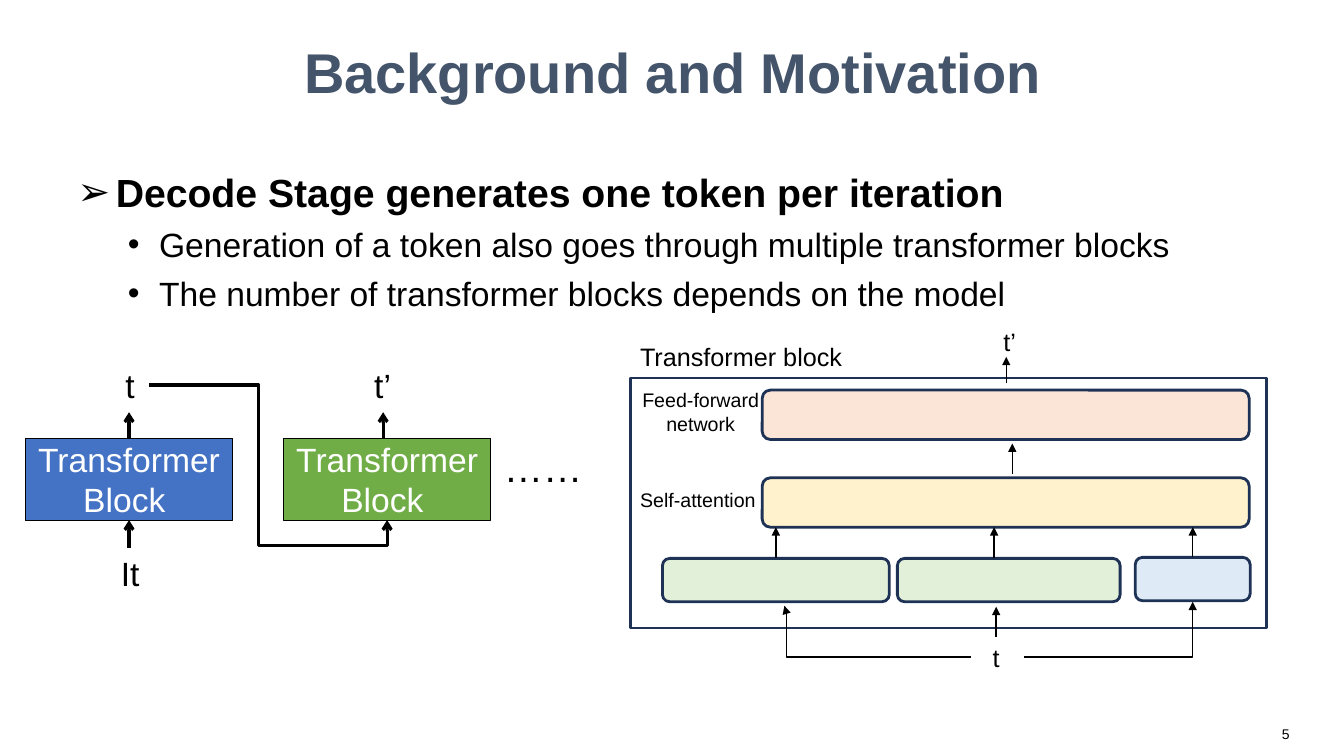
from dataclasses import dataclass

from lxml.etree import SubElement
from pptx import Presentation
from pptx.dml.color import RGBColor
from pptx.enum.shapes import MSO_CONNECTOR, MSO_SHAPE
from pptx.enum.text import MSO_ANCHOR, PP_ALIGN
from pptx.oxml.ns import qn
from pptx.util import Inches, Pt

# The slide is a grid of 133.33 columns by 75 rows
CELL = 0.1
FONT = "Arial"
BLACK, WHITE, NAVY = "000000", "FFFFFF", "1E3256"
CENTER, LEFT, RIGHT = PP_ALIGN.CENTER, PP_ALIGN.LEFT, PP_ALIGN.RIGHT
TOP_SIDE, BOTTOM_SIDE = 0, 2


@dataclass
class Box:
    left: float
    top: float
    width: float
    height: float

    def area(self, column, row, width, height):
        return Box(self.left + column, self.top + row, width, height)

    def point(self, column, row):
        return self.left + column, self.top + row

    def lengths(self):
        return [cells(n) for n in (self.left, self.top, self.width, self.height)]


def cells(count):
    return Inches(count * CELL)


def color(value):
    return RGBColor.from_string(value)


def add_span(para, text, size, ink=BLACK, bold=False):
    span = para.add_run()
    span.text = text
    span.font.name = FONT
    span.font.size = Pt(size)
    span.font.bold = bold
    span.font.color.rgb = color(ink)


def write(frame, lines, size, ink=BLACK, align=CENTER, bold=False):
    frame.word_wrap = True
    for index, line in enumerate(lines):
        para = frame.add_paragraph() if index else frame.paragraphs[0]
        para.alignment = align
        add_span(para, line, size, ink, bold)


def add_label(page, box, text, size, **style):
    label = page.shapes.add_textbox(*box.lengths())
    write(label.text_frame, [text], size, **style)
    return label


def add_panel(page, box, kind, fill, line, weight):
    panel = page.shapes.add_shape(kind, *box.lengths())
    panel.shadow.inherit = False
    if fill:
        panel.fill.solid()
        panel.fill.fore_color.rgb = color(fill)
    else:
        panel.fill.background()
    panel.line.color.rgb = color(line)
    panel.line.width = Pt(weight)
    return panel


def add_arrow(page, start, end, weight, head, preset=None, bends=()):
    kind = MSO_CONNECTOR.ELBOW if preset else MSO_CONNECTOR.STRAIGHT
    arrow = page.shapes.add_connector(kind, *[cells(n) for n in (*start, *end)])
    arrow.line.color.rgb = color(BLACK)
    arrow.line.width = Pt(weight)
    properties = arrow._element.spPr
    SubElement(properties.find(qn("a:ln")), qn("a:tailEnd"), type=head)
    SubElement(properties, qn("a:effectLst"))
    if preset:
        geometry = properties.find(qn("a:prstGeom"))
        geometry.set("prst", preset)
        guides = geometry.find(qn("a:avLst"))
        for number, share in enumerate(bends, 1):
            SubElement(guides, qn("a:gd"), name=f"adj{number}",
                       fmla=f"val {round(share * 100000)}")
    return arrow


def add_bullet(para, sign, margin, hanging):
    properties = para._p.get_or_add_pPr()
    properties.set("marL", str(Inches(margin)))
    properties.set("indent", str(-Inches(hanging)))
    SubElement(properties, qn("a:buFont"), typeface=FONT)
    SubElement(properties, qn("a:buChar"), char=sign)


def add_title(page, box):
    title = add_label(page, box, "Background and Motivation", 40, ink="44546A", bold=True)
    title.text_frame.vertical_anchor = MSO_ANCHOR.MIDDLE


def add_points(page, box):
    points = add_label(page, box, "Decode Stage generates one token per iteration", 28,
                       align=LEFT, bold=True)
    frame = points.text_frame
    add_bullet(frame.paragraphs[0], "➢", 0.38, 0.38)
    for text in ("Generation of a token also goes through multiple transformer blocks",
                 "The number of transformer blocks depends on the model"):
        para = frame.add_paragraph()
        para.level = 1
        para.space_before = Pt(6)
        add_bullet(para, "•", 0.81, 0.31)
        add_span(para, text, 24)


def add_decode_chain(page, box):
    # Two blocks at an equal pitch
    width, height, top, pitch = 20.6, 8.1, 7.8, 25.6
    middle = width / 2
    blocks = []
    for index, fill in enumerate(("4472C4", "70AD47")):
        block = add_panel(page, box.area(index * pitch, top, width, height),
                          MSO_SHAPE.RECTANGLE, fill, BLACK, 0.75)
        block.text_frame.vertical_anchor = MSO_ANCHOR.MIDDLE
        write(block.text_frame, ["Transformer ", "Block "], 24, WHITE)
        blocks.append(block)

    # Tokens going in and out
    for text, column, row, span in (("t", 8.5, 0, 3.8), ("t’", 32.9, 0, 5.1),
                                    ("It", 8, 18.7, 4.8)):
        add_label(page, box.area(column, row, span, 5), text, 24)
    add_label(page, box.area(46.5, top, 11.8, 5.7), "……", 28, align=LEFT)

    entry = add_arrow(page, box.point(middle, 18.7), box.point(middle, top + height), 2.25, "arrow")
    entry.end_connect(blocks[0], BOTTOM_SIDE)
    result = add_arrow(page, box.point(middle, top), box.point(middle, 5.2), 2.25, "arrow")
    result.begin_connect(blocks[0], TOP_SIDE)
    add_arrow(page, box.point(35.5, top), box.point(35.5, 5.2), 2.25, "arrow")

    # The first token feeds the second block
    add_arrow(page, box.point(12.3, 2.5), box.point(pitch + middle, top + height),
              2.25, "arrow", "bentConnector4", (0.46, 1.19))


def add_block_detail(page, box):
    add_panel(page, box.area(0, 5.6, box.width, 24.8), MSO_SHAPE.RECTANGLE, None, NAVY, 2)

    # Two layers above three projections
    rounded = MSO_SHAPE.ROUNDED_RECTANGLE
    for row, fill in ((6.8, "FBE5D6"), (15.5, "FFF2CC")):
        add_panel(page, box.area(13.1, row, 48.3, 4.9), rounded, fill, NAVY, 2)
    for column, row, width, fill, exit_column in ((3.2, 23.5, 22.5, "E2F0D9", 14.45),
                                                  (26.5, 23.5, 22.1, "E2F0D9", 36.1),
                                                  (50.1, 23.4, 11.4, "DEEBF7", 55.8)):
        panel = add_panel(page, box.area(column, row, width, 4.3), rounded, fill, NAVY, 2)
        arrow = add_arrow(page, box.point(exit_column, row), box.point(exit_column, 20.4),
                          1, "triangle")
        if abs(column + width / 2 - exit_column) < 0.1:
            arrow.begin_connect(panel, TOP_SIDE)

    # Names and tokens
    for text, column, row, width, height, size, align in (
            ("Transformer block", 0, 1.5, 22.6, 4, 18, LEFT),
            ("Feed-forward network", 0, 6.1, 14, 5.7, 14, CENTER),
            ("Self-attention", 0, 16, 15.3, 3.4, 14, LEFT),
            ("t’", 35.1, 0, 5.1, 4, 18, CENTER),
            ("t", 34.8, 31.3, 3, 4, 18, CENTER)):
        add_label(page, box.area(column, row, width, height), text, size, align=align)

    # Upward arrows: attention to network, input, output
    for column, start, end in ((37.9, 15.1, 12.1), (36.3, 31.3, 28.3), (37.3, 6.1, 3.5)):
        add_arrow(page, box.point(column, start), box.point(column, end), 1, "triangle")

    # The input token also reaches the outer projections
    add_arrow(page, box.point(33.8, 33.3), box.point(15.3, 28.2), 1, "triangle",
              "bentConnector3", (0.99,))
    add_arrow(page, box.point(39.1, 33.3), box.point(55.8, 27.8), 1, "triangle",
              "bentConnector2")


def main():
    deck = Presentation()
    deck.slide_width, deck.slide_height = Inches(13.33), Inches(7.5)
    page = deck.slides.add_slide(deck.slide_layouts[6])
    add_title(page, Box(6.7, 0.8, 120, 12.5))
    add_points(page, Box(6.7, 16.2, 120, 15))
    add_decode_chain(page, Box(2.5, 35.7, 58.3, 23.7))
    add_block_detail(page, Box(62.5, 31.9, 63.1, 35.3))
    add_label(page, Box(97.8, 71.5, 31.1, 3.5), "5", 10, align=RIGHT)
    deck.save("out.pptx")


if __name__ == "__main__":
    main()
